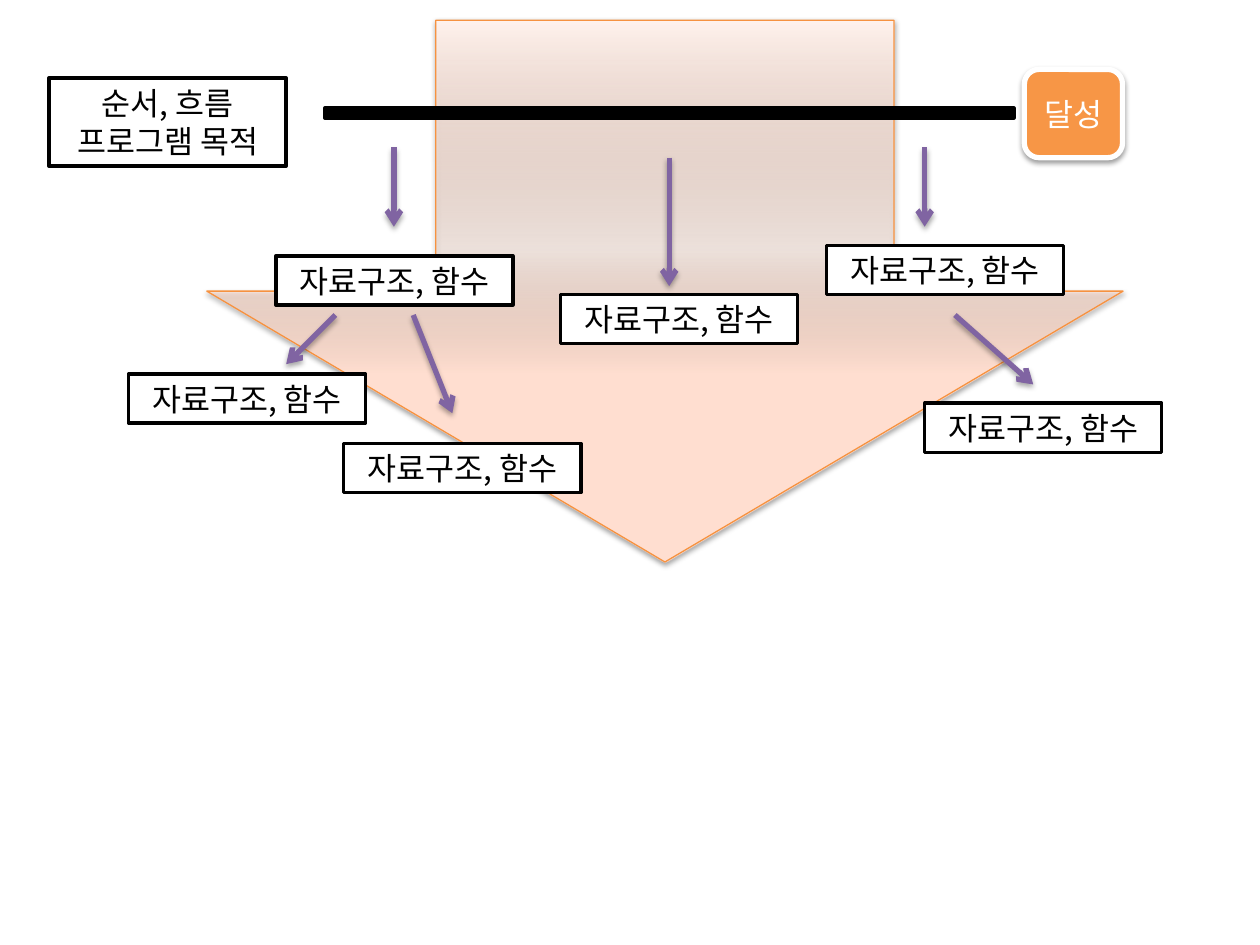
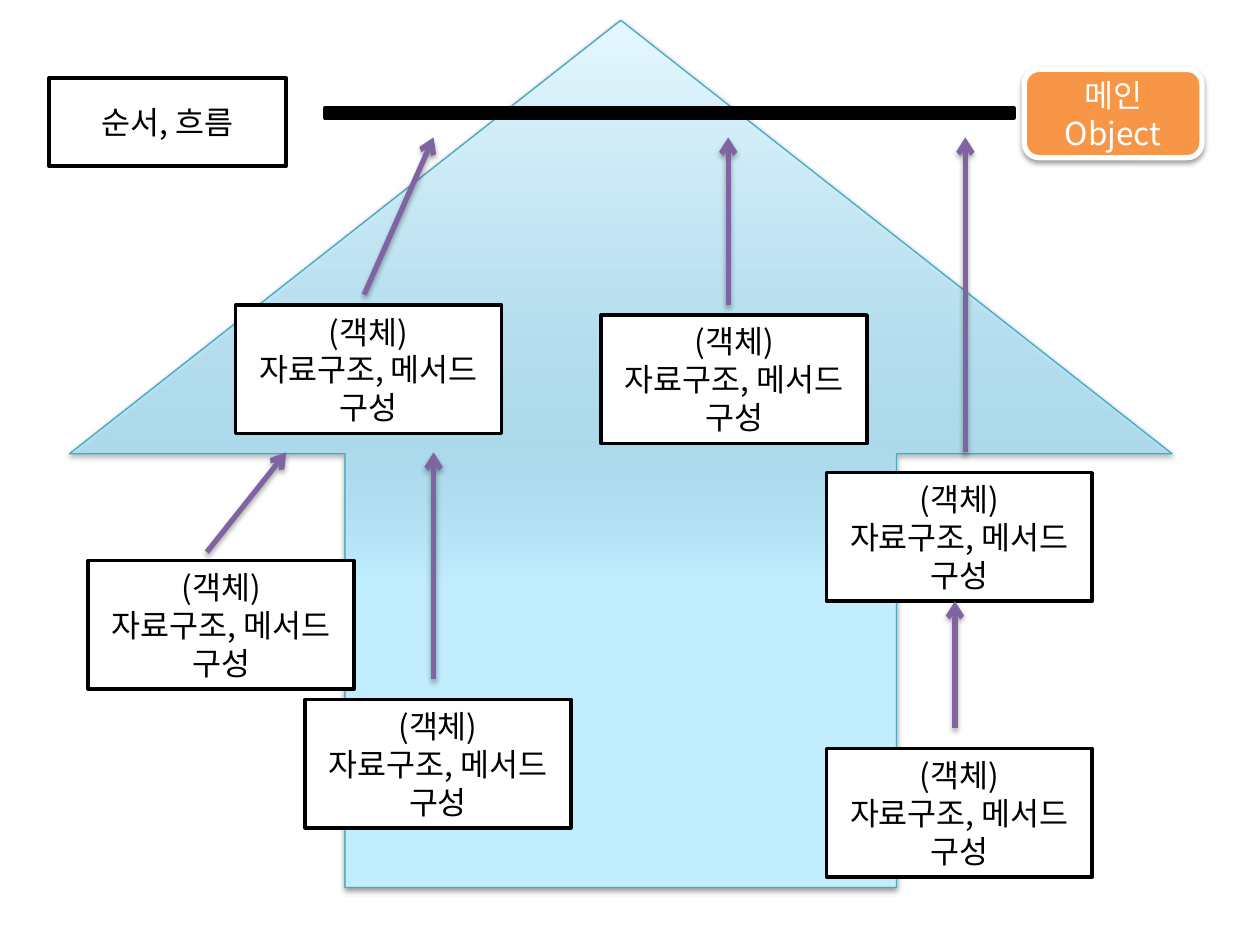
"""Builds two slides that contrast top-down design with bottom-up object design."""
import pptx
import pptx.dml.color
import pptx.enum.dml
import pptx.enum.shapes
import pptx.enum.text
import pptx.oxml.ns
import pptx.util
from lxml import etree

Cm, Pt = pptx.util.Cm, pptx.util.Pt
RGBColor = pptx.dml.color.RGBColor
SHAPE = pptx.enum.shapes.MSO_SHAPE
qn = pptx.oxml.ns.qn

FONT = "Noto Sans CJK KR"
BLACK = RGBColor(0x00, 0x00, 0x00)
WHITE = RGBColor(0xFF, 0xFF, 0xFF)
ORANGE = RGBColor(0xF7, 0x96, 0x46)
ORANGE_EDGE = RGBColor(0xF6, 0x92, 0x40)
TEAL_EDGE = RGBColor(0x46, 0xAA, 0xC5)
PURPLE = RGBColor(0x80, 0x64, 0xA2)
PEACH_STOPS = [(35, RGBColor(0xFF, 0xDE, 0xD0), 100),
               (58, RGBColor(0xFF, 0xD2, 0xBD), 25),
               (100, RGBColor(0xFF, 0xF2, 0xED), 100)]
SKY_STOPS = [(35, RGBColor(0xC1, 0xED, 0xFF), 100),
             (51, RGBColor(0xA7, 0xE6, 0xFF), 71),
             (100, RGBColor(0xE7, 0xF8, 0xFF), 100)]


def add_colour(parent, colour, alpha):
    clr = etree.SubElement(parent, qn("a:srgbClr"), val=str(colour))
    if alpha < 100:
        etree.SubElement(clr, qn("a:alpha"), val=str(alpha * 1000))


class Deck:
    def __init__(self):
        self.prs = pptx.Presentation()
        self.prs.slide_width, self.prs.slide_height = Cm(25.4), Cm(19.05)
        self.s = None

    def slide(self):
        self.s = self.prs.slides.add_slide(self.prs.slide_layouts[6])

    def shape(self, kind, at, fill, edge, width):
        sp = self.s.shapes.add_shape(kind, *map(Cm, at))
        if fill is not None:
            sp.fill.solid()
            sp.fill.fore_color.rgb = fill
        sp.line.color.rgb = edge
        sp.line.width = Pt(width)
        sp.shadow.inherit = False
        return sp

    def shadow(self, effects, alpha, dist):
        shd = etree.SubElement(effects, qn("a:outerShdw"), blurRad=str(Pt(3.1)),
                               dist=str(Pt(dist)), dir="5400000", rotWithShape="0")
        add_colour(shd, BLACK, alpha)

    def shape_shadow(self, sp):
        self.shadow(sp._element.spPr.find(qn("a:effectLst")), 38, 1.6)

    def text(self, sp, paragraphs, colour):
        tf = sp.text_frame
        tf.word_wrap = True
        tf.vertical_anchor = pptx.enum.text.MSO_ANCHOR.MIDDLE
        for i, paragraph in enumerate(paragraphs):
            p = tf.add_paragraph() if i else tf.paragraphs[0]
            p.alignment = pptx.enum.text.PP_ALIGN.CENTER
            for j, line in enumerate(paragraph.split("\n")):
                if j:
                    p.add_line_break()
                r = p.add_run()
                r.text = line
                r.font.size = Pt(18)
                r.font.color.rgb = colour
                r.font.name = FONT
                etree.SubElement(r._r.get_or_add_rPr(), qn("a:ea"), typeface=FONT)

    def big_arrow(self, kind, at, stops, edge):
        sp = self.shape(kind, at, None, edge, 0.75)
        sp.fill.gradient()
        sp.fill.gradient_angle = 90
        gs_list = sp._element.spPr.find(".//" + qn("a:gsLst"))
        for gs in list(gs_list):
            gs_list.remove(gs)
        for pos, colour, alpha in stops:
            gs = etree.SubElement(gs_list, qn("a:gs"), pos=str(pos * 1000))
            add_colour(gs, colour, alpha)
        self.shape_shadow(sp)

    def box(self, at, *paragraphs):
        sp = self.shape(SHAPE.RECTANGLE, at, WHITE, BLACK, 2)
        self.text(sp, paragraphs, BLACK)

    def timeline(self, start, goal, goal_width):
        self.box((0.99, 1.57, 4.78, 1.78), start)
        self.shape(SHAPE.RECTANGLE, (6.55, 2.18, 13.89, 0.2), BLACK, BLACK, 2)
        sp = self.shape(SHAPE.ROUNDED_RECTANGLE, (20.65, 1.4, goal_width, 1.78),
                        ORANGE, WHITE, 3)
        self.shape_shadow(sp)
        self.text(sp, [goal], WHITE)

    def arrow(self, *ends):
        cn = self.s.shapes.add_connector(pptx.enum.shapes.MSO_CONNECTOR.STRAIGHT,
                                         *map(Cm, ends))
        cn.line.color.rgb = PURPLE
        cn.line.width = Pt(3)
        etree.SubElement(cn.line._get_or_add_ln(), qn("a:tailEnd"), type="arrow")
        effects = etree.SubElement(cn._element.spPr, qn("a:effectLst"))
        self.shadow(effects, 35, 1.8)


deck = Deck()

deck.slide()
deck.big_arrow(SHAPE.DOWN_ARROW, (4.17, 0.41, 18.47, 10.92), PEACH_STOPS, ORANGE_EDGE)
deck.timeline("순서, 흐름\n프로그램 목적", "달성", 1.98)
for x, y in [(5.56, 5.16), (11.3, 5.94), (16.66, 4.95),
             (2.59, 7.54), (6.93, 8.94), (18.64, 8.13)]:
    deck.box((x, y, 4.78, 0.99), "자료구조, 함수")
for ends in [(13.49, 3.18, 13.49, 5.77), (8.33, 6.35, 9.12, 8.33),
             (6.76, 6.35, 5.77, 7.34), (19.25, 6.35, 20.83, 7.75),
             (7.94, 2.97, 7.94, 4.57), (18.64, 2.97, 18.64, 4.57)]:
    deck.arrow(*ends)

deck.slide()
deck.big_arrow(SHAPE.UP_ARROW, (1.4, 0.41, 22.23, 17.48), SKY_STOPS, TEAL_EDGE)
deck.timeline("순서, 흐름", "메인 Object", 3.58)
for x, y in [(1.78, 11.3), (6.15, 14.1), (4.75, 6.15),
             (12.12, 6.35), (16.66, 9.53), (16.66, 15.09)]:
    deck.box((x, y, 5.36, 2.59), "(객체)", "자료구조, 메서드 구성")
for ends in [(4.17, 11.13, 5.77, 9.12), (7.34, 5.94, 8.74, 2.77),
             (8.74, 13.69, 8.74, 9.12), (14.68, 6.15, 14.68, 2.77),
             (19.46, 9.12, 19.46, 2.77), (19.25, 14.68, 19.25, 12.12)]:
    deck.arrow(*ends)

deck.prs.save("out.pptx")
